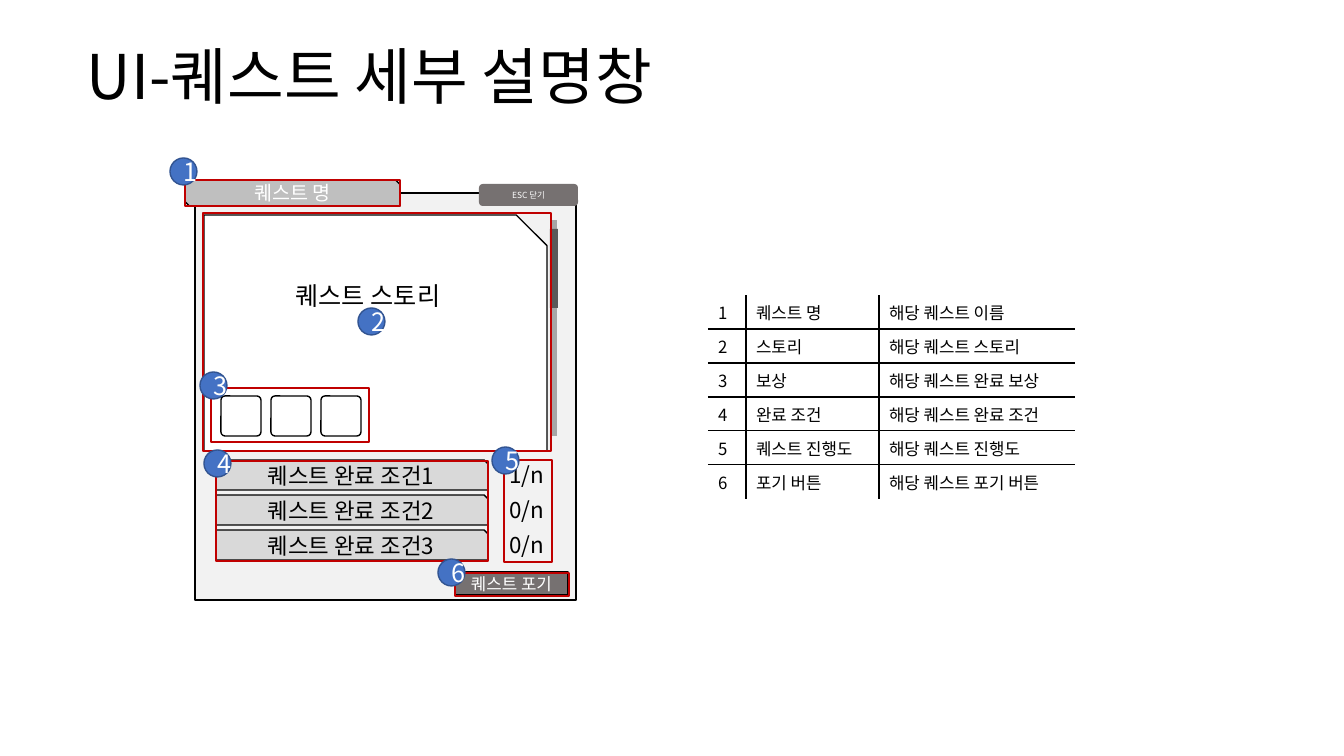
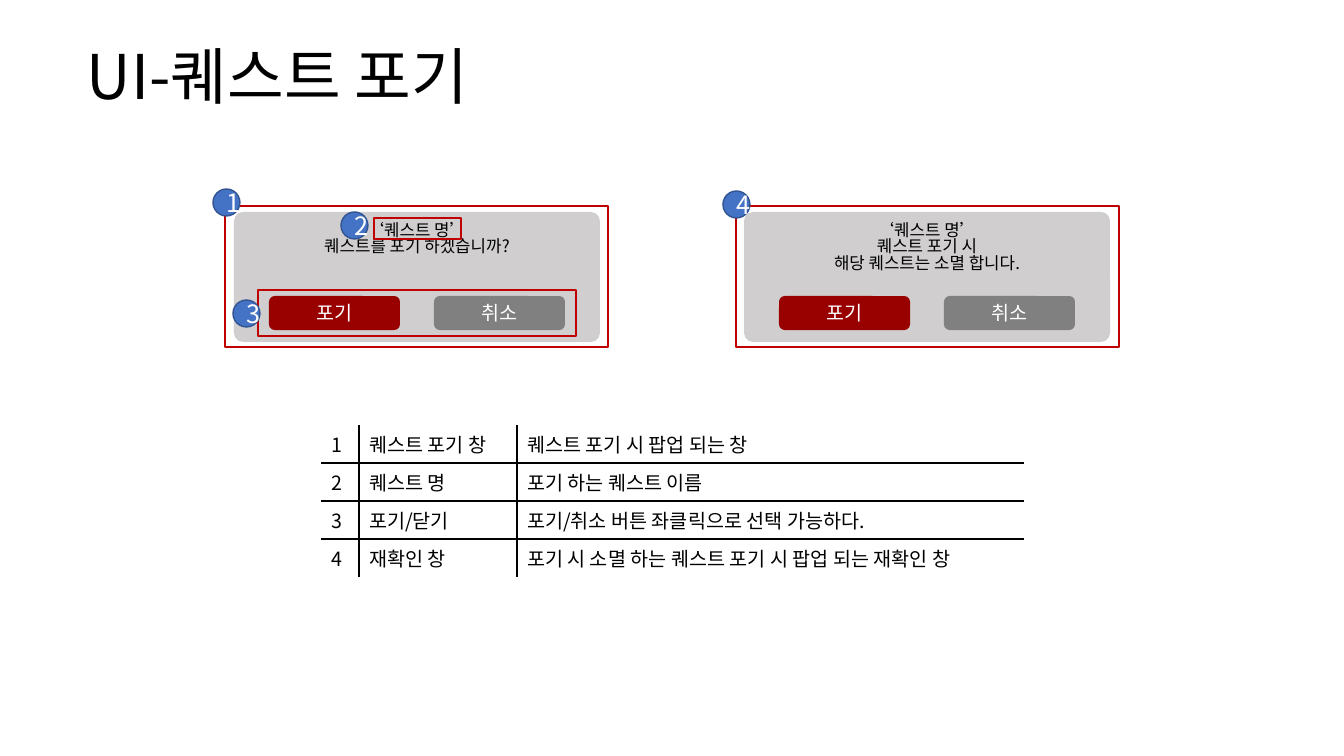
from pptx import Presentation
from pptx.dml.color import RGBColor
from pptx.enum.shapes import MSO_SHAPE as Shape
from pptx.enum.text import MSO_ANCHOR as Anchor, PP_ALIGN as Align
from pptx.oxml import parse_xml
from pptx.oxml.ns import nsdecls
from pptx.util import Pt

PX = 914400 / 100.8
FONT = "Noto Sans CJK KR"
COLORS = {
    "black": "000000", "white": "FFFFFF", "window": "F2F2F2",
    "track": "A6A6A6", "thumb": "595959", "name": "BFBFBF",
    "condition": "D9D9D9", "button": "767171", "popup": "D0CECE",
    "confirm": "990000", "cancel": "808080", "mark": "C00000",
    "badge": "4472C4", "badge_line": "325491",
}


def px(*lengths):
    return [round(length * PX) for length in lengths]


def color(name):
    return RGBColor.from_string(COLORS[name])


def write(frame, text, size=18, ink="black", align=Align.CENTER,
          anchor=Anchor.MIDDLE, spacing=None):
    """Fill a text frame, one paragraph per line of text."""
    frame.word_wrap = True
    frame.vertical_anchor = anchor
    for number, line in enumerate(text.split("\n")):
        paragraph = frame.add_paragraph() if number else frame.paragraphs[0]
        paragraph.alignment = align
        paragraph.line_spacing = spacing
        run = paragraph.add_run()
        run.text = line
        run.font.size = Pt(size)
        run.font.name = FONT
        run.font.color.rgb = color(ink)
        properties = run.font._element
        properties.append(parse_xml(f'<a:ea {nsdecls("a")} typeface="{FONT}"/>'))


def set_borders(cell, visible):
    """Draw the named sides (of L, R, T, B) and hide the others."""
    properties = cell._tc.get_or_add_tcPr()
    for position, side in enumerate("LRTB"):
        paint = "<a:noFill/>"
        if side in visible:
            paint = f'<a:solidFill><a:srgbClr val="{COLORS["black"]}"/></a:solidFill>'
        properties.insert(position, parse_xml(
            f'<a:ln{side} {nsdecls("a")} w="12700">{paint}</a:ln{side}>'))


class Deck:
    def __init__(self):
        self.presentation = Presentation()
        self.presentation.slide_width, self.presentation.slide_height = px(1344, 756)
        self.slide = None

    def new_slide(self, title):
        self.slide = self.presentation.slides.add_slide(
            self.presentation.slide_layouts[6])
        box = self.slide.shapes.add_textbox(*px(77, 32, 1190, 95))
        write(box.text_frame, title, size=44, align=Align.LEFT, spacing=0.9)

    def shape(self, kind, box, fill=None, line=None, width=1, adjust=None,
              text=None, parent=None, **text_format):
        shape = (parent or self.slide).shapes.add_shape(kind, *px(*box))
        shape.shadow.inherit = False
        if adjust is not None:
            shape.adjustments[0] = adjust
        if fill:
            shape.fill.solid()
            shape.fill.fore_color.rgb = color(fill)
        else:
            shape.fill.background()
        if line:
            shape.line.color.rgb = color(line)
            shape.line.width = Pt(width)
        else:
            shape.line.fill.background()
        if text:
            write(shape.text_frame, text, **text_format)
        return shape

    def mark(self, *box):
        self.shape(Shape.RECTANGLE, box, line="mark", width=1.25)

    def badges(self, corners):
        for number, (left, top) in enumerate(corners, 1):
            self.shape(Shape.OVAL, (left, top, 27, 27), "badge", "badge_line",
                       text=str(number), ink="white")

    def table(self, left, top, widths, row_height, rows, size):
        """Number the rows and rule only the inner edges."""
        last_row, last_column = len(rows) - 1, len(widths) - 1
        table = self.slide.shapes.add_table(
            len(rows), len(widths),
            *px(left, top, sum(widths), row_height * len(rows))).table
        table.first_row = table.horz_banding = False
        for column, width in zip(table.columns, px(*widths)):
            column.width = width
        for r, texts in enumerate(rows):
            for c, text in enumerate((str(r + 1), *texts)):
                cell = table.cell(r, c)
                cell.fill.background()
                write(cell.text_frame, text, size=size, align=Align.LEFT,
                      anchor=Anchor.TOP)
                set_borders(cell, "L" * (c > 0) + "R" * (c < last_column)
                            + "T" * (r > 0) + "B" * (r < last_row))

    def popup(self, left, message):
        """Message panel with a confirm and a cancel button, as one group."""
        group = self.slide.shapes.add_group_shape()
        panel = self.shape(Shape.ROUNDED_RECTANGLE, (left, 212, 366, 130), "popup",
                           adjust=0.07, text=message, size=12,
                           anchor=Anchor.TOP, spacing=0.83, parent=group)
        panel.text_frame.margin_top, = px(8)
        for number, (label, fill) in enumerate((("포기", "confirm"), ("취소", "cancel"))):
            self.shape(Shape.ROUNDED_RECTANGLE, (left + 35 + 165 * number, 296, 131, 34),
                       fill, text=label, size=14, ink="white", parent=group)


def quest_detail(deck):
    deck.new_slide("UI-퀘스트 세부 설명창")
    deck.table(708, 295, (38, 133, 196), 34, (
        ("퀘스트 명", "해당 퀘스트 이름"),
        ("스토리", "해당 퀘스트 스토리"),
        ("보상", "해당 퀘스트 완료 보상"),
        ("완료 조건", "해당 퀘스트 완료 조건"),
        ("퀘스트 진행도", "해당 퀘스트 진행도"),
        ("포기 버튼", "해당 퀘스트 포기 버튼"),
    ), size=12)

    # Window, scroll bar, name and story
    deck.shape(Shape.RECTANGLE, (195, 193, 381, 407), "window", "black")
    deck.shape(Shape.RECTANGLE, (552, 220, 5, 216), "track")
    deck.shape(Shape.RECTANGLE, (550, 229, 8, 79), "thumb")
    deck.shape(Shape.SNIP_2_DIAG_RECTANGLE, (185, 180, 215, 26), "name", "black",
               text="퀘스트 명", size=14, ink="white")
    story = deck.shape(Shape.SNIP_1_RECTANGLE, (204, 215, 343, 236), "white", "black",
                       adjust=0.13, text="퀘스트 스토리")
    story.text_frame.margin_bottom, = px(95)

    # Conditions with their progress
    for number, progress in enumerate(("1/n", "0/n", "0/n")):
        top = 460 + 35 * number
        deck.shape(Shape.SNIP_1_RECTANGLE, (216, top, 272, 30), "condition", "black",
                   adjust=0.13, text=f"퀘스트 완료 조건{number + 1}", size=16)
        deck.shape(Shape.RECTANGLE, (496, top + 2, 62, 25), "window",
                   text=progress, size=16)
    deck.shape(Shape.RECTANGLE, (455, 572, 113, 23), "button", "black",
               text="퀘스트 포기", size=12, ink="white")

    # Reward slots
    for number in range(3):
        deck.shape(Shape.ROUNDED_RECTANGLE, (221 + 50 * number, 396, 40, 40),
                   line="black", adjust=0.1)

    # Marked areas and their numbers
    deck.mark(185, 180, 215, 26)
    deck.mark(203, 213, 348, 238)
    deck.mark(216, 461, 272, 100)
    deck.mark(504, 460, 48, 102)
    deck.mark(455, 573, 114, 23)
    deck.mark(211, 388, 158, 54)
    deck.badges(((170, 158), (358, 308), (200, 372), (204, 450), (492, 447), (438, 559)))
    deck.shape(Shape.ROUNDED_RECTANGLE, (479, 184, 99, 22), "button",
               text="ESC 닫기", size=6, ink="white")


def quest_abandon(deck):
    deck.new_slide("UI-퀘스트 포기")
    deck.table(321, 425, (38, 158, 507), 38, (
        ("퀘스트 포기 창", "퀘스트 포기 시 팝업 되는 창"),
        ("퀘스트 명", "포기 하는 퀘스트 이름"),
        ("포기/닫기", "포기/취소 버튼 좌클릭으로 선택 가능하다."),
        ("재확인 창", "포기 시 소멸 하는 퀘스트 포기 시 팝업 되는 재확인 창"),
    ), size=14)

    # Popups
    deck.popup(234, "‘퀘스트 명’\n퀘스트를 포기 하겠습니까?")
    deck.popup(744, "‘퀘스트 명’\n퀘스트 포기 시\n해당 퀘스트는 소멸 합니다.")

    # Marked areas and their numbers
    for left in (225, 736):
        deck.mark(left, 206, 383, 141)
    deck.mark(374, 218, 87, 21)
    deck.mark(258, 290, 318, 46)
    deck.badges(((213, 189), (341, 212), (233, 300), (723, 191)))


def main():
    deck = Deck()
    quest_detail(deck)
    quest_abandon(deck)
    deck.presentation.save("out.pptx")


if __name__ == "__main__":
    main()
